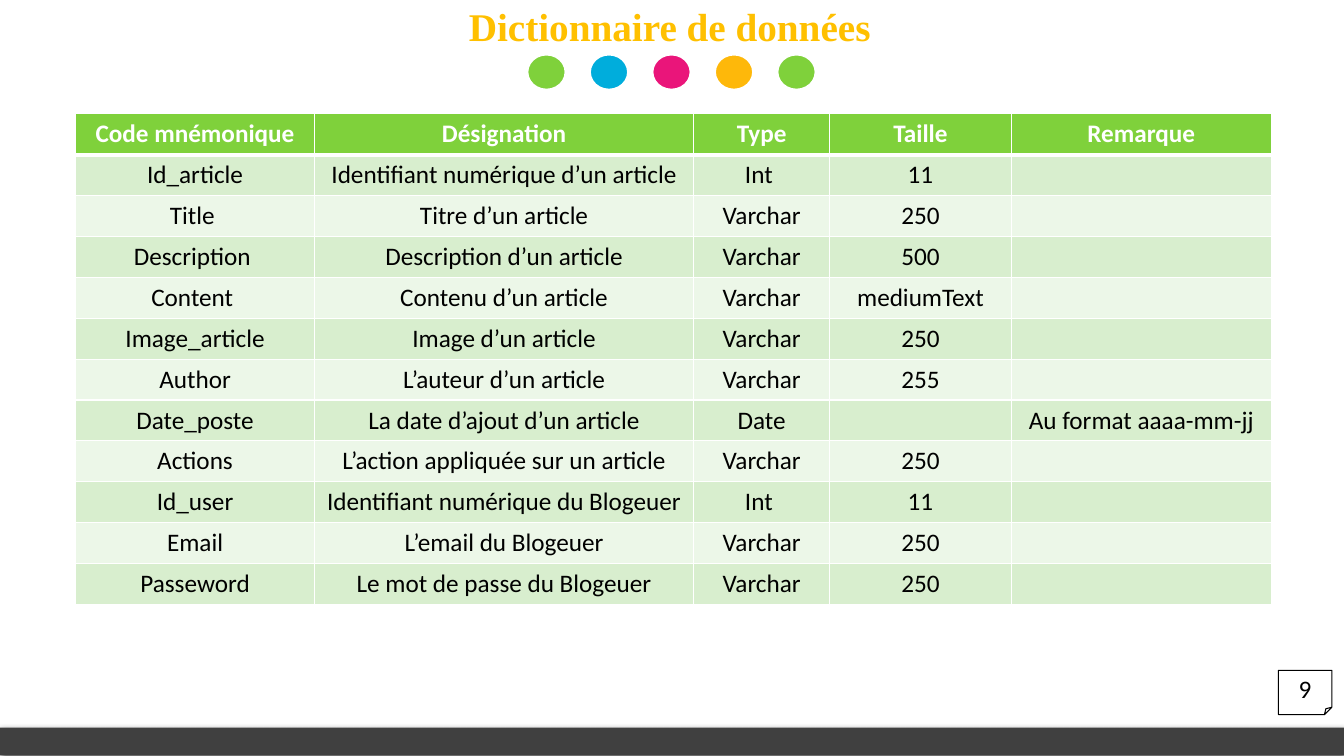
from lxml.etree import SubElement
from pptx import Presentation
from pptx.dml.color import RGBColor
from pptx.enum.shapes import MSO_SHAPE
from pptx.enum.text import MSO_ANCHOR, PP_ALIGN
from pptx.oxml.ns import qn
from pptx.util import Inches, Pt

BLACK = RGBColor(0x00, 0x00, 0x00)
WHITE = RGBColor(0xFF, 0xFF, 0xFF)
GRAY = RGBColor(0x40, 0x40, 0x40)
GOLD = RGBColor(0xFF, 0xC0, 0x00)
GREEN = RGBColor(0x7F, 0xD1, 0x3B)
BLUE = RGBColor(0x00, 0xAD, 0xDC)
PINK = RGBColor(0xEA, 0x15, 0x7A)
AMBER = RGBColor(0xFE, 0xB8, 0x0A)
DARK_BAND = RGBColor(0xD8, 0xEE, 0xCE)
LIGHT_BAND = RGBColor(0xEC, 0xF7, 0xE8)

COLUMN_WIDTHS = [2.37, 3.76, 1.35, 1.8, 2.58]
FIELDS = [
    ("Code mnémonique", "Désignation", "Type", "Taille", "Remarque"),
    ("Id_article", "Identifiant numérique d’un article", "Int ", "11", ""),
    ("Title ", "Titre d’un article", "Varchar", "250", ""),
    ("Description ", "Description d’un article", "Varchar", "500", ""),
    ("Content ", "Contenu d’un article", "Varchar", "mediumText", ""),
    ("Image_article", "Image d’un article", "Varchar", "250", ""),
    ("Author", "L’auteur d’un article", "Varchar", "255", ""),
    ("Date_poste", "La date d’ajout d’un article", "Date", "", "Au format aaaa-mm-jj"),
    ("Actions", "L’action appliquée sur un article", "Varchar", "250", ""),
    ("Id_user", "Identifiant numérique du Blogeuer", "Int ", "11", ""),
    ("Email", "L’email du Blogeuer", "Varchar", "250", ""),
    ("Passeword", "Le mot de passe du Blogeuer", "Varchar", "250", ""),
]


def write(frame, text, font="Calibri", size=18, color=BLACK, bold=False,
          align=PP_ALIGN.CENTER):
    """Put one formatted paragraph in a text frame."""
    para = frame.paragraphs[0]
    para.alignment = align
    span = para.add_run()
    span.text = text
    span.font.name = font
    span.font.size = Pt(size)
    span.font.bold = bold
    span.font.color.rgb = color


def add_color(parent, color):
    """Append a solid colour element and return it."""
    return SubElement(parent, qn("a:srgbClr"), val=str(color))


def add_shadow(shape, blur, distance, alpha):
    """Give a shape a soft black shadow that falls straight down."""
    shape.shadow.inherit = False
    effects = shape._element.spPr.find(qn("a:effectLst"))
    shadow = SubElement(effects, qn("a:outerShdw"), blurRad=str(Pt(blur)),
                        dist=str(Pt(distance)), dir="5400000", rotWithShape="0")
    SubElement(add_color(shadow, BLACK), qn("a:alpha"), val=str(alpha * 1000))


def add_borders(cell, color, **widths):
    """Draw the cell borders; widths are points by side."""
    properties = cell._tc.get_or_add_tcPr()
    for index, side in enumerate("LRTB"):
        line = SubElement(properties, qn(f"a:ln{side}"), w=str(Pt(widths[side])))
        add_color(SubElement(line, qn("a:solidFill")), color)
        properties.remove(line)
        properties.insert(index, line)


class SlideBuilder:
    """Hold the current slide and its style, and add elements to it."""

    def __init__(self, page, font="Calibri", title_font="Times New Roman"):
        """Keep the slide and the two fonts."""
        self.page = page
        self.font = font
        self.title_font = title_font

    def title(self, text, left, top, width, height):
        """Place and format the title placeholder."""
        box = self.page.shapes.title
        box.left, box.top = Inches(left), Inches(top)
        box.width, box.height = Inches(width), Inches(height)
        box.text_frame.word_wrap = False
        box.text_frame.vertical_anchor = MSO_ANCHOR.TOP
        write(box.text_frame, text, font=self.title_font, size=28, color=GOLD,
              bold=True, align=PP_ALIGN.LEFT)

    def shape(self, kind, left, top, width, height, fill=None, line=None, weight=1):
        """Add a preset shape without shadow."""
        shape = self.page.shapes.add_shape(
            kind, Inches(left), Inches(top), Inches(width), Inches(height))
        shape.shadow.inherit = False
        if fill is None:
            shape.fill.background()
        else:
            shape.fill.solid()
            shape.fill.fore_color.rgb = fill
        if line is None:
            shape.line.fill.background()
        else:
            shape.line.color.rgb = line
            shape.line.width = Pt(weight)
        return shape

    def dots(self, colors, left, top, width, height, step):
        """Add a row of evenly spaced dots."""
        for index, color in enumerate(colors):
            self.shape(MSO_SHAPE.OVAL, left + index * step, top, width, height,
                       fill=color, line=WHITE, weight=1.5)

    def page_number(self, text, left, top, width, height):
        """Add the page number on a folded sheet."""
        sheet = self.shape(MSO_SHAPE.FOLDED_CORNER, left, top, width, height,
                           line=BLACK, weight=0.75)
        sheet.text_frame.vertical_anchor = MSO_ANCHOR.MIDDLE
        write(sheet.text_frame, text, font=self.font)

    def table(self, rows, widths, left, top, height):
        """Add a banded table with a header row."""
        table = self.page.shapes.add_table(
            len(rows), len(widths), Inches(left), Inches(top),
            Inches(sum(widths)), Inches(height)).table
        for column, width in zip(table.columns, widths):
            column.width = Inches(width)
        for row_index, values in enumerate(rows):
            header = row_index == 0
            band = DARK_BAND if row_index % 2 else LIGHT_BAND
            for column_index, value in enumerate(values):
                cell = table.cell(row_index, column_index)
                cell.fill.solid()
                cell.fill.fore_color.rgb = GREEN if header else band
                add_borders(cell, WHITE, L=1, R=1, T=3 if row_index == 1 else 1,
                            B=3 if header else 1)
                if value:
                    write(cell.text_frame, value, font=self.font, bold=header,
                          color=WHITE if header else BLACK)


def main():
    """Build the data dictionary slide."""
    deck = Presentation()
    deck.slide_width, deck.slide_height = Inches(13.33), Inches(7.5)
    title_only = deck.slide_layouts[5]
    builder = SlideBuilder(deck.slides.add_slide(title_only))

    footer = builder.shape(MSO_SHAPE.RECTANGLE, 0, 7.22, 13.33, 0.27, fill=GRAY)
    add_shadow(footer, blur=4.5, distance=1.5, alpha=63)
    builder.title("Dictionnaire de données", 4.55, -0.03, 4.23, 0.57)
    builder.dots([GREEN, BLUE, PINK, AMBER, GREEN], 5.23, 0.54, 0.38, 0.35,
                 step=0.62)
    builder.page_number("9", 12.68, 6.65, 0.53, 0.44)
    builder.table(FIELDS, COLUMN_WIDTHS, 0.75, 1.13, height=4.87)
    deck.save("out.pptx")


main()
